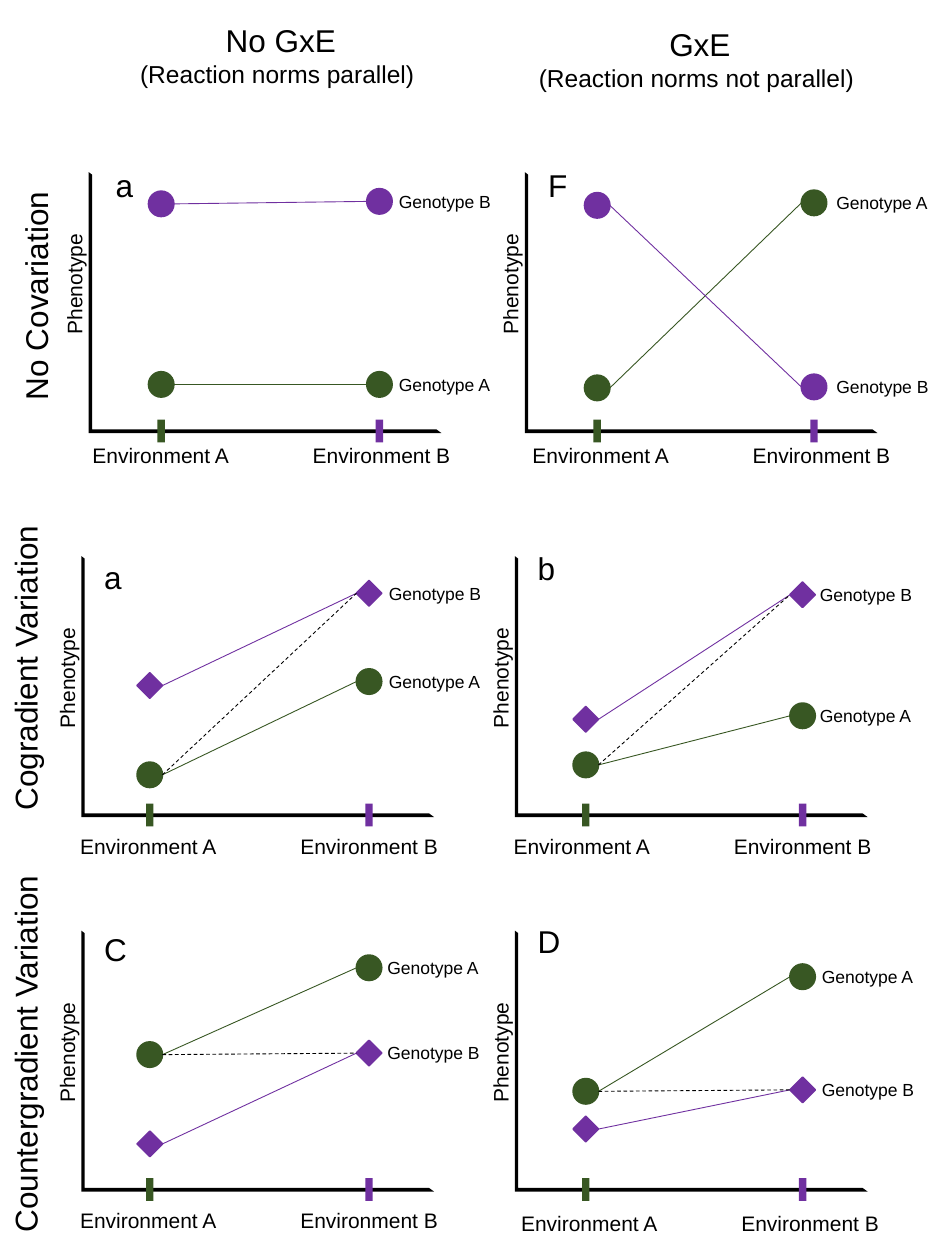
from lxml.etree import SubElement
from pptx import Presentation
from pptx.dml.color import RGBColor
from pptx.enum.dml import MSO_LINE
from pptx.enum.shapes import MSO_CONNECTOR, MSO_SHAPE
from pptx.enum.text import MSO_AUTO_SIZE, PP_ALIGN
from pptx.oxml.ns import qn
from pptx.util import Cm, Pt

BLACK, GREEN, PURPLE = "000000", "385723", "7030A0"
COLOURS = {"A": GREEN, "B": PURPLE}
AXES_LENGTH, AXES_HEIGHT = 7.11, 5.26
MARK = 0.51
TICK_WIDTH, TICK_HEIGHT, TICK_DROP = 0.15, 0.46, 5.22
ENVIRONMENT_GAP = 4.44

# Centre x, centre y, width, lines with their sizes
HEADINGS = [
    (5.66, 1.12, 6.2, [("No GxE", 18), ("(Reaction norms parallel) ", 14)]),
    (14.11, 1.19, 7.04, [("GxE", 18), ("(Reaction norms not parallel) ", 14)]),
]
# Text, centre x, centre y, width
ROW_TITLES = [
    ("No Covariation", 0.72, 5.94, 4.75),
    ("Cogradient Variation", 0.51, 13.44, 6.3),
    ("Countergradient Variation", 0.51, 21.21, 7.77),
]
# axes: left, top; marks: x in environments A and B; environment: centre of
# the first label; A and B: height of each genotype in the two environments
PANELS = [
    dict(letter="a", letter_at=(2.08, 3.23), axes=(1.79, 3.47), title_drop=2.25,
         marks=(3.25, 7.65), label_x=7.79, environment=(3.26, 9.19),
         A=(7.75, 7.75), B=(4.11, 4.06), covaries=False),
    dict(letter="F", letter_at=(10.8, 3.23), axes=(10.58, 3.47), title_drop=2.25,
         marks=(12.04, 16.41), label_x=16.61, environment=(12.13, 9.19),
         A=(7.82, 4.09), B=(4.14, 7.8), covaries=False),
    dict(letter="a", letter_at=(1.85, 11.13), axes=(1.64, 11.21), title_drop=2.45,
         marks=(3.02, 7.44), label_x=7.59, environment=(3.01, 17.07),
         A=(15.62, 13.74), B=(13.82, 11.96), covaries=True),
    dict(letter="b", letter_at=(10.59, 10.95), axes=(10.38, 11.21), title_drop=2.45,
         marks=(11.81, 16.18), label_x=16.28, environment=(11.75, 17.07),
         A=(15.42, 14.43), B=(14.5, 11.99), covaries=True),
    dict(letter="C", letter_at=(1.85, 18.62), axes=(1.64, 18.76), title_drop=2.45,
         marks=(3.02, 7.44), label_x=7.56, environment=(3.01, 24.61),
         A=(21.26, 19.51), B=(23.06, 21.23), covaries=True),
    dict(letter="D", letter_at=(10.59, 18.47), axes=(10.38, 18.76), title_drop=2.45,
         marks=(11.81, 16.18), label_x=16.32, environment=(11.9, 24.66),
         A=(22.0, 19.69), B=(22.76, 21.97), covaries=True),
]


def rgb(colour):
    return RGBColor.from_string(colour)


def centred(x, y, width, height):
    """Turn a centre and a size into left, top, width, height."""
    return [Cm(v) for v in (x - width / 2, y - height / 2, width, height)]


def add_text(page, x, y, width, height, lines, rotation=0, align=PP_ALIGN.LEFT):
    box = page.shapes.add_textbox(*centred(x, y, width, height))
    box.rotation = rotation
    frame = box.text_frame
    frame.word_wrap = False
    frame.auto_size = MSO_AUTO_SIZE.SHAPE_TO_FIT_TEXT
    for number, (text, size) in enumerate(lines):
        para = frame.add_paragraph() if number else frame.paragraphs[0]
        para.text = text
        para.alignment = align
        para.font.name = "Arial"
        para.font.size = Pt(size)
        para.font.color.rgb = rgb(BLACK)


def add_figure(page, kind, x, y, width, height, colour, outlined=False):
    figure = page.shapes.add_shape(kind, *centred(x, y, width, height))
    figure.shadow.inherit = False
    figure.fill.solid()
    figure.fill.fore_color.rgb = rgb(colour)
    if outlined:
        figure.line.color.rgb = rgb(colour)
        figure.line.width = Pt(1)
    else:
        figure.line.fill.background()
    return figure


def join_marks(page, start, end, colour, dashed=False):
    """Draw a line from the right of one mark to the left of another."""
    line = page.shapes.add_connector(
        MSO_CONNECTOR.STRAIGHT,
        start.left + start.width, start.top + start.height // 2,
        end.left, end.top + end.height // 2)
    line.line.color.rgb = rgb(colour)
    line.line.width = Pt(0.5)
    if dashed:
        line.line.dash_style = MSO_LINE.DASH
    SubElement(line._element.spPr, qn("a:effectLst"))
    # Only diamonds number their sides as rectangles do
    if start.auto_shape_type == MSO_SHAPE.DIAMOND:
        line.begin_connect(start, 3)
    if end.auto_shape_type == MSO_SHAPE.DIAMOND:
        line.end_connect(end, 1)


def add_panel(page, panel):
    left, top = panel["axes"]
    axes = add_figure(page, MSO_SHAPE.HALF_FRAME, left + AXES_LENGTH / 2,
                      top + AXES_HEIGHT / 2, AXES_HEIGHT, AXES_LENGTH, BLACK)
    axes.rotation = 270
    axes.adjustments[0], axes.adjustments[1] = 0.013, 0.014
    add_text(page, left - 0.29, top + panel["title_drop"], 2.54, 0.77,
             [("Phenotype", 12)], rotation=270)
    letter_left, letter_top = panel["letter_at"]
    add_text(page, letter_left + 0.46, letter_top + 0.51, 0.92, 1.02,
             [(panel["letter"], 18)])

    label_x, label_y = panel["environment"]
    for number, (name, colour) in enumerate(COLOURS.items()):
        add_figure(page, MSO_SHAPE.RECTANGLE, panel["marks"][number],
                   top + TICK_DROP, TICK_WIDTH, TICK_HEIGHT, colour)
        add_text(page, label_x + number * ENVIRONMENT_GAP, label_y, 3.29, 0.77,
                 [(f"Environment {name}", 12)])

    marks = {}
    for name, colour in COLOURS.items():
        is_diamond = name == "B" and panel["covaries"]
        kind = MSO_SHAPE.DIAMOND if is_diamond else MSO_SHAPE.OVAL
        marks[name] = [add_figure(page, kind, x, y, MARK, MARK, colour, True)
                       for x, y in zip(panel["marks"], panel[name])]
        join_marks(page, *marks[name], colour)
        add_text(page, panel["label_x"] + 1.19, panel[name][1], 2.38, 0.68,
                 [(f"Genotype {name}", 10)])
    if panel["covaries"]:
        join_marks(page, marks["A"][0], marks["B"][1], BLACK, dashed=True)


def main():
    deck = Presentation()
    deck.slide_width, deck.slide_height = Cm(19.05), Cm(25.4)
    page = deck.slides.add_slide(deck.slide_layouts[6])
    for x, y, width, lines in HEADINGS:
        add_text(page, x, y, width, 1.63, lines, align=PP_ALIGN.CENTER)
    for text, x, y, width in ROW_TITLES:
        add_text(page, x, y, width, 1.02, [(text, 18)], rotation=270)
    for panel in PANELS:
        add_panel(page, panel)
    deck.save("out.pptx")


if __name__ == "__main__":
    main()
